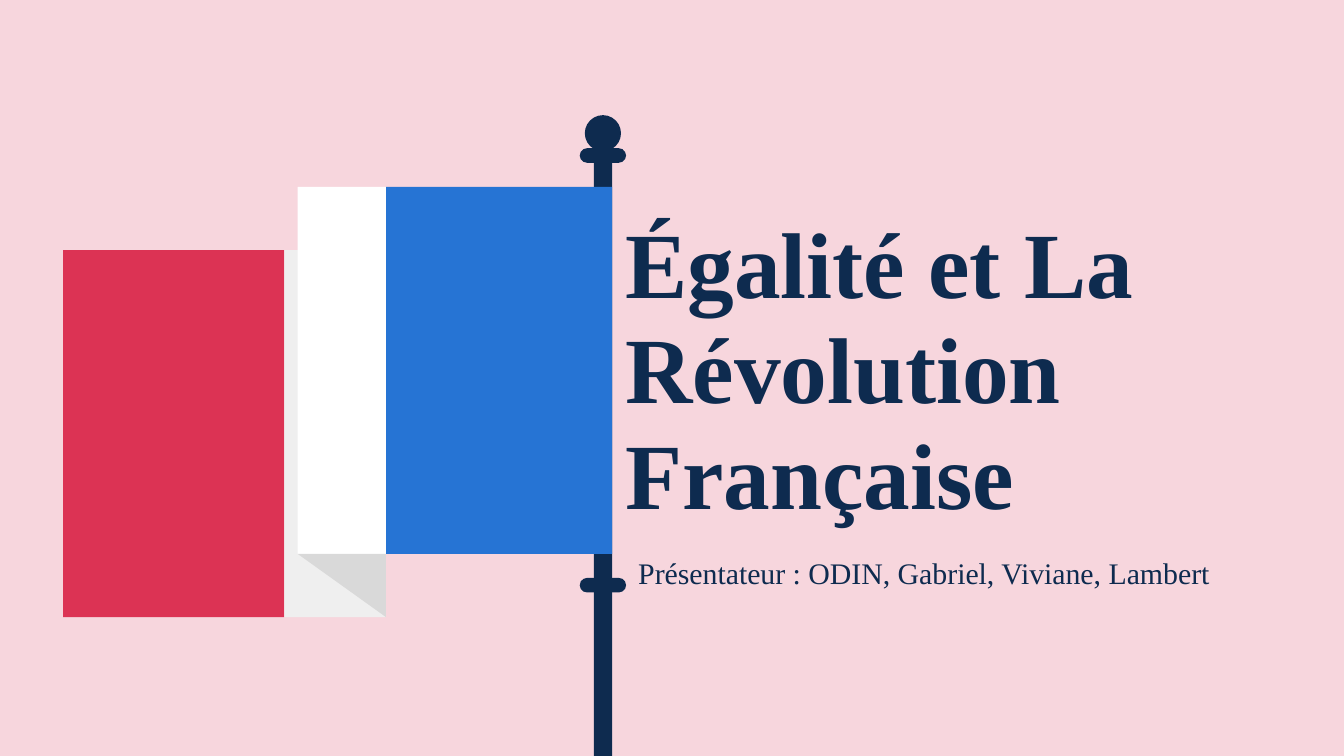
from pptx import Presentation
from pptx.dml.color import RGBColor
from pptx.enum.shapes import MSO_SHAPE
from pptx.enum.text import MSO_ANCHOR
from pptx.util import Pt

RECTANGLE = MSO_SHAPE.RECTANGLE
ROUNDED = MSO_SHAPE.ROUNDED_RECTANGLE
OVAL = MSO_SHAPE.OVAL
TOP = MSO_ANCHOR.TOP
MIDDLE = MSO_ANCHOR.MIDDLE

SLIDE_WIDTH, SLIDE_HEIGHT = 720, 405
COLORS = {
    "background": "F7D6DD",
    "navy": "0E2B4F",
    "red": "DC3354",
    "white": "FFFFFF",
    "back_white": "EFEFEF",
    "fold": "D9D9D9",
    "blue": "2674D4",
}
TITLE_FONT = {"name": "Times New Roman", "size": Pt(50), "bold": True}
PRESENTERS_FONT = {"name": "Times New Roman", "size": Pt(16), "bold": False}


def rgb(color):
    """Return the named palette colour."""
    return RGBColor.from_string(COLORS[color])


def paint(shape, color):
    """Give a shape a flat fill without outline or shadow."""
    shape.shadow.inherit = False
    shape.fill.solid()
    shape.fill.fore_color.rgb = rgb(color)
    shape.line.fill.background()


def add_part(slide, kind, left, top, width, height, color):
    """Add one flat preset shape and return it."""
    part = slide.shapes.add_shape(kind, Pt(left), Pt(top), Pt(width), Pt(height))
    paint(part, color)
    return part


def add_polygon(slide, corners, color):
    """Add a closed flat outline through the corners."""
    points = [(Pt(x), Pt(y)) for x, y in corners]
    builder = slide.shapes.build_freeform(*points[0])
    builder.add_line_segments(points[1:], close=True)
    paint(builder.convert_to_shape(), color)


def add_text(slide, left, top, width, height, text, font, anchor, spacing):
    """Add a wrapped navy text box."""
    box = slide.shapes.add_textbox(Pt(left), Pt(top), Pt(width), Pt(height))
    frame = box.text_frame
    frame_format = {"word_wrap": True, "vertical_anchor": anchor}
    for side in ("left", "right", "top", "bottom"):
        frame_format[f"margin_{side}"] = Pt(7.2)
    for name, value in frame_format.items():
        setattr(frame, name, value)
    paragraph = frame.paragraphs[0]
    paragraph.line_spacing = spacing
    run = paragraph.add_run()
    run.text = text
    for name, value in font.items():
        setattr(run.font, name, value)
    run.font.color.rgb = rgb("navy")


def add_pole(slide):
    """Draw the flagpole with its two rings and its ball."""
    pole_top = 83.5
    add_part(slide, RECTANGLE, 318.2, pole_top, 9.8, SLIDE_HEIGHT - pole_top, "navy")
    for ring_top in (79.4, 309.6):
        ring = add_part(slide, ROUNDED, 310.6, ring_top, 24.8, 7.8, "navy")
        ring.adjustments[0] = 0.5
    add_part(slide, OVAL, 313.3, 61.7, 19.4, 19.4, "navy")


def add_flag(slide):
    """Draw the three bands of the flag and the fold between them."""
    red_left, red_right, fold_left, blue_left, blue_right = 33.8, 152.3, 159.5, 206.7, 328
    back_top, front_top, height = 134, 100.2, 196.6
    back_bottom, front_bottom = back_top + height, front_top + height
    fold = [(fold_left, front_bottom), (blue_left, back_bottom), (blue_left, front_bottom)]
    bands = [
        (red_left, red_right, back_top, "red"),
        (red_right, blue_left, back_top, "back_white"),
        (blue_left, blue_right, front_top, "blue"),
        (fold_left, blue_left, front_top, "white"),
    ]
    for left, right, top, color in bands:
        add_part(slide, RECTANGLE, left, top, right - left, height, color)
    add_polygon(slide, fold, "fold")


def main():
    """Build and save the title slide."""
    presentation = Presentation()
    presentation.slide_width = Pt(SLIDE_WIDTH)
    presentation.slide_height = Pt(SLIDE_HEIGHT)
    slide = presentation.slides.add_slide(presentation.slide_layouts[6])
    slide.background.fill.solid()
    slide.background.fill.fore_color.rgb = rgb("background")
    add_text(slide, 328, 137.5, 414.7, 123.8, "Égalité et La Révolution Française",
             TITLE_FONT, MIDDLE, 0.94)
    add_text(slide, 334.8, 290.2, 344.9, 54.7,
             "Présentateur : ODIN, Gabriel, Viviane, Lambert", PRESENTERS_FONT, TOP, 1.0)
    add_pole(slide)
    add_flag(slide)
    presentation.save("out.pptx")


if __name__ == "__main__":
    main()
